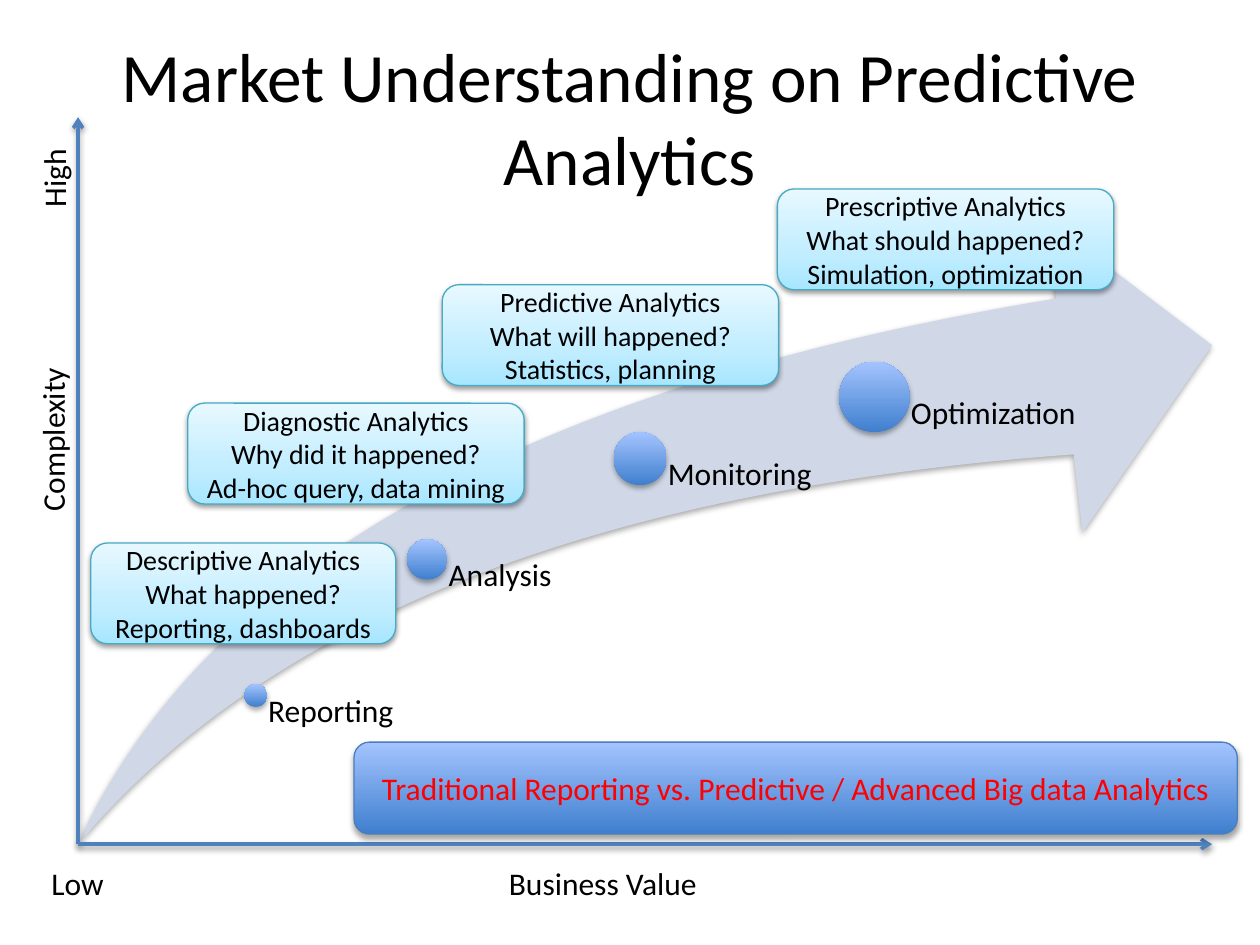
from copy import deepcopy
from dataclasses import dataclass

from pptx import Presentation
from pptx.dml.color import RGBColor
from pptx.enum.shapes import MSO_CONNECTOR, MSO_SHAPE
from pptx.enum.text import MSO_ANCHOR, PP_ALIGN
from pptx.oxml import parse_xml
from pptx.oxml.ns import nsdecls, qn
from pptx.util import Inches, Pt


@dataclass(frozen=True)
class Theme:
    font: str = "Calibri"
    title_size: float = 39.6
    label_size: float = 18
    card_size: float = 16
    text: str = "000000"
    alert: str = "FF0000"
    axis: str = "4F81BD"
    swoosh: str = "D0D8E8"
    card_line: str = "46AAC5"
    banner_line: str = "4B7EBC"
    blue: tuple = ((0, "3F7FCE"), (1, "A4C4FF"))
    cyan: tuple = ((0, "A7E6FF"), (0.35, "C1EDFF"), (1, "E7F8FF"))


theme = Theme()
presentation = Presentation()
presentation.slide_width, presentation.slide_height = Inches(10), Inches(7.5)
slide = presentation.slides.add_slide(presentation.slide_layouts[6])
shapes = slide.shapes

# Grid of square cells: 100 columns by 75 rows
cell = presentation.slide_width / 100


def finish(shape, stops=None, line=None, shadow_alpha=35, shadow_distance=1.8):
    """Give a shape its gradient and outline, and any part its soft shadow."""
    properties = shape._element.spPr
    if stops:
        shape.fill.gradient()
        shape.fill.gradient_angle = 90
        stop_list = properties.find(".//" + qn("a:gsLst"))
        while len(stop_list) < len(stops):
            stop_list.append(deepcopy(stop_list[0]))
        for stop, (position, color) in zip(shape.fill.gradient_stops, stops):
            stop.position = position
            stop.color.rgb = RGBColor.from_string(color)
    if line:
        shape.line.color.rgb = RGBColor.from_string(line)
        shape.line.width = Pt(0.75)
    properties.append(parse_xml(
        f'<a:effectLst {nsdecls("a")}><a:outerShdw blurRad="{Pt(3.1)}" '
        f'dist="{Pt(shadow_distance)}" dir="5400000" rotWithShape="0">'
        f'<a:srgbClr val="000000"><a:alpha val="{shadow_alpha * 1000}"/></a:srgbClr>'
        '</a:outerShdw></a:effectLst>'))


def write(shape, text, size, color=theme.text, align=PP_ALIGN.CENTER,
          anchor=MSO_ANCHOR.MIDDLE, wrap=True):
    """Fill a shape with evenly formatted paragraphs."""
    frame = shape.text_frame
    frame.text = text
    frame.word_wrap = wrap
    frame.vertical_anchor = anchor
    for paragraph in frame.paragraphs:
        paragraph.alignment = align
        for run in paragraph.runs:
            run.font.name = theme.font
            run.font.size = Pt(size)
            run.font.color.rgb = RGBColor.from_string(color)


# Title
title = shapes.add_textbox(*(int(n * cell) for n in (5, 3, 90, 12.5)))
write(title, "Market Understanding on Predictive Analytics", theme.title_size)

# Growth arrow
left, base, right, top = 6.2, 67, 96.2, 9.3
swoosh = shapes.add_shape(
    MSO_SHAPE.SWOOSH_ARROW,
    *(int(n * cell) for n in (left, 17.5, right - left, base - 17.5)))
swoosh.adjustments[0] = swoosh.adjustments[1] = 0.25
swoosh.fill.solid()
swoosh.fill.fore_color.rgb = RGBColor.from_string(theme.swoosh)
swoosh.line.fill.background()
finish(swoosh)

# Milestones: centre column and row, radius, label width
milestones = [
    ("Reporting", 20.3, 55.2, 0.9, 13.5),
    ("Analysis", 33.9, 44.4, 1.6, 16.6),
    ("Monitoring", 50.8, 36.4, 2.1, 16.6),
    ("Optimization", 69.4, 31.5, 2.8, 16.6),
]
for name, column, row, radius, width in milestones:
    dot = shapes.add_shape(
        MSO_SHAPE.OVAL,
        *(int(n * cell) for n in (column - radius, row - radius, 2 * radius, 2 * radius)))
    dot.line.fill.background()
    finish(dot, theme.blue)
    label = shapes.add_textbox(*(int(n * cell) for n in (column, row, width, base - row)))
    write(label, name, theme.label_size, align=PP_ALIGN.LEFT, anchor=MSO_ANCHOR.TOP)
    frame = label.text_frame
    frame.margin_left = int((radius + 0.1) * cell)
    frame.margin_top = frame.margin_right = frame.margin_bottom = 0
    frame.paragraphs[0].line_spacing = 0.9

# Axes
for end_column, end_row in [(left, top), (right, base)]:
    axis = shapes.add_connector(
        MSO_CONNECTOR.STRAIGHT,
        *(int(n * cell) for n in (left, base, end_column, end_row)))
    axis.line.color.rgb = RGBColor.from_string(theme.axis)
    axis.line.width = Pt(2)
    axis._element.spPr.find(qn("a:ln")).append(
        parse_xml(f'<a:tailEnd {nsdecls("a")} type="arrow"/>'))
    finish(axis, shadow_alpha=38, shadow_distance=1.6)

# Axis labels: left, top, width, rotation
axis_labels = [
    ("Business Value", 39.4, 68.1, 17.2, 0),
    ("Complexity", -2.6, 32.8, 13.5, 270),
    ("Low", 3.1, 68.1, 6.2, 0),
    ("High", 0.9, 12.1, 6.7, 270),
]
for name, column, row, width, rotation in axis_labels:
    label = shapes.add_textbox(*(int(n * cell) for n in (column, row, width, 4)))
    label.rotation = rotation
    write(label, name, theme.label_size, align=PP_ALIGN.LEFT,
          anchor=MSO_ANCHOR.TOP, wrap=False)

# Analytics cards: left, top, width
cards = [
    ("Descriptive Analytics\nWhat happened?\nReporting, dashboards", 7.2, 43.1, 24.2),
    ("Diagnostic Analytics\nWhy did it happened?\nAd-hoc query, data mining", 14.9, 32, 26.7),
    ("Predictive Analytics\nWhat will happened?\nStatistics, planning", 35.1, 22.6, 26.7),
    ("Prescriptive Analytics\nWhat should happened?\nSimulation, optimization", 61.7, 15, 26.7),
]
for text, column, row, width in cards:
    card = shapes.add_shape(
        MSO_SHAPE.ROUNDED_RECTANGLE, *(int(n * cell) for n in (column, row, width, 8)))
    finish(card, theme.cyan, theme.card_line, 38, 1.6)
    write(card, text, theme.card_size)

# Closing banner
banner = shapes.add_shape(
    MSO_SHAPE.ROUNDED_RECTANGLE, *(int(n * cell) for n in (28.1, 58.9, 70.1, 7.3)))
finish(banner, theme.blue, theme.banner_line)
write(banner, "Traditional Reporting vs. Predictive / Advanced Big data Analytics",
      theme.label_size, theme.alert)

presentation.save("out.pptx")
